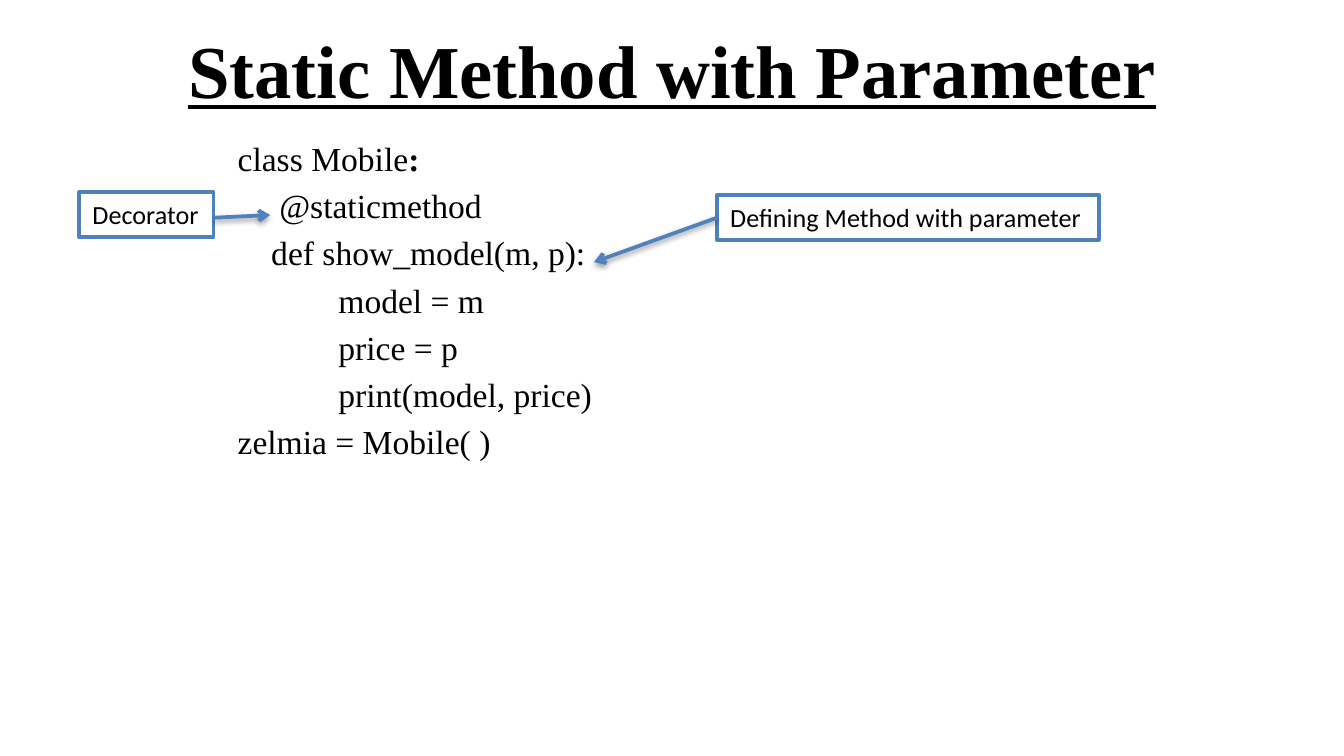
"""Build a slide explaining a static method with parameters."""
import dataclasses
import typing

import lxml.etree
import pptx
import pptx.dml.color
import pptx.enum.shapes
import pptx.enum.text
import pptx.oxml
import pptx.oxml.ns
import pptx.util

PX = 4572
BLACK, WHITE, BLUE = "000000", "FFFFFF", "4F81BD"
SERIF, SANS = "Times New Roman", "Calibri"
SHADOW = (
    f'<a:effectLst {pptx.oxml.ns.nsdecls("a")}>'
    '<a:outerShdw blurRad="39370" dist="20320" dir="5400000" rotWithShape="0">'
    f'<a:srgbClr val="{BLACK}"><a:alpha val="38000"/></a:srgbClr>'
    "</a:outerShdw></a:effectLst>"
)


class Box(typing.NamedTuple):
    left: int
    top: int
    width: int
    height: int


@dataclasses.dataclass(frozen=True)
class CodeLine:
    text: str
    indent: int = 0
    bold_end: str = ""


@dataclasses.dataclass(frozen=True)
class Callout:
    label: str
    box: Box
    arrow_start: tuple[int, int]
    arrow_end: tuple[int, int]


TITLE_BOX = Box(100, 8, 1800, 188)
CODE_BOX = Box(334, 196, 1034, 742)
CODE = (
    CodeLine("class Mobile", bold_end=":"),
    CodeLine("@staticmethod", 62),
    CodeLine("def show_model(m, p):", 50),
    CodeLine("model = m", 150),
    CodeLine("price = p", 150),
    CodeLine("print(model, price)", 150),
    CodeLine("zelmia = Mobile( )"),
)
CALLOUTS = (
    Callout(
        "Defining Method with parameter",
        Box(1067, 290, 568, 67), (1067, 324), (884, 390),
    ),
    Callout("Decorator", Box(118, 286, 200, 67), (319, 324), (402, 320)),
)


def emu(*lengths: int) -> list[int]:
    return [length * PX for length in lengths]


def color(value: str) -> pptx.dml.color.RGBColor:
    return pptx.dml.color.RGBColor.from_string(value)


def add_run(paragraph, text: str, name: str, size: int, **extra) -> None:
    run = paragraph.add_run()
    run.text = text
    formats = {"name": name, "size": pptx.util.Pt(size), **extra}
    for key, value in formats.items():
        setattr(run.font, key, value)
    run.font.color.rgb = color(BLACK)


def style_line(line) -> None:
    line.color.rgb = color(BLUE)
    line.width = pptx.util.Pt(2)


def draw_title(slide) -> None:
    frame = slide.shapes.add_textbox(*emu(*TITLE_BOX)).text_frame
    frame.word_wrap = True
    frame.vertical_anchor = pptx.enum.text.MSO_ANCHOR.MIDDLE
    heading = frame.paragraphs[0]
    heading.alignment = pptx.enum.text.PP_ALIGN.CENTER
    add_run(heading, "Static Method with Parameter", SERIF, 40, bold=True, underline=True)


def draw_code(slide) -> None:
    frame = slide.shapes.add_textbox(*emu(*CODE_BOX)).text_frame
    frame.word_wrap = True
    for number, line in enumerate(CODE):
        paragraph = frame.add_paragraph() if number else frame.paragraphs[0]
        paragraph.space_before = pptx.util.Pt(3.6)
        paragraph._p.get_or_add_pPr().set("marL", str(line.indent * PX))
        add_run(paragraph, line.text, SERIF, 18)
        if line.bold_end:
            add_run(paragraph, line.bold_end, SERIF, 18, bold=True)


def draw_callout(slide, callout: Callout) -> None:
    label = slide.shapes.add_shape(
        pptx.enum.shapes.MSO_SHAPE.RECTANGLE, *emu(*callout.box)
    )
    label.shadow.inherit = False
    label.fill.solid()
    label.fill.fore_color.rgb = color(WHITE)
    style_line(label.line)
    formats = {
        "word_wrap": False,
        "auto_size": pptx.enum.text.MSO_AUTO_SIZE.SHAPE_TO_FIT_TEXT,
        "vertical_anchor": pptx.enum.text.MSO_ANCHOR.TOP,
    }
    for key, value in formats.items():
        setattr(label.text_frame, key, value)
    paragraph = label.text_frame.paragraphs[0]
    paragraph.alignment = pptx.enum.text.PP_ALIGN.LEFT
    add_run(paragraph, callout.label, SANS, 14)

    arrow = slide.shapes.add_connector(
        pptx.enum.shapes.MSO_CONNECTOR.STRAIGHT,
        *emu(*callout.arrow_start, *callout.arrow_end),
    )
    style_line(arrow.line)
    lxml.etree.SubElement(
        arrow.line._get_or_add_ln(), pptx.oxml.ns.qn("a:tailEnd"), type="arrow"
    )
    arrow._element.spPr.append(pptx.oxml.parse_xml(SHADOW))


def main() -> None:
    deck = pptx.Presentation()
    deck.slide_width, deck.slide_height = emu(2000, 1125)
    slide = deck.slides.add_slide(deck.slide_layouts[6])
    draw_title(slide)
    draw_code(slide)
    for callout in CALLOUTS:
        draw_callout(slide, callout)
    deck.save("out.pptx")


if __name__ == "__main__":
    main()
